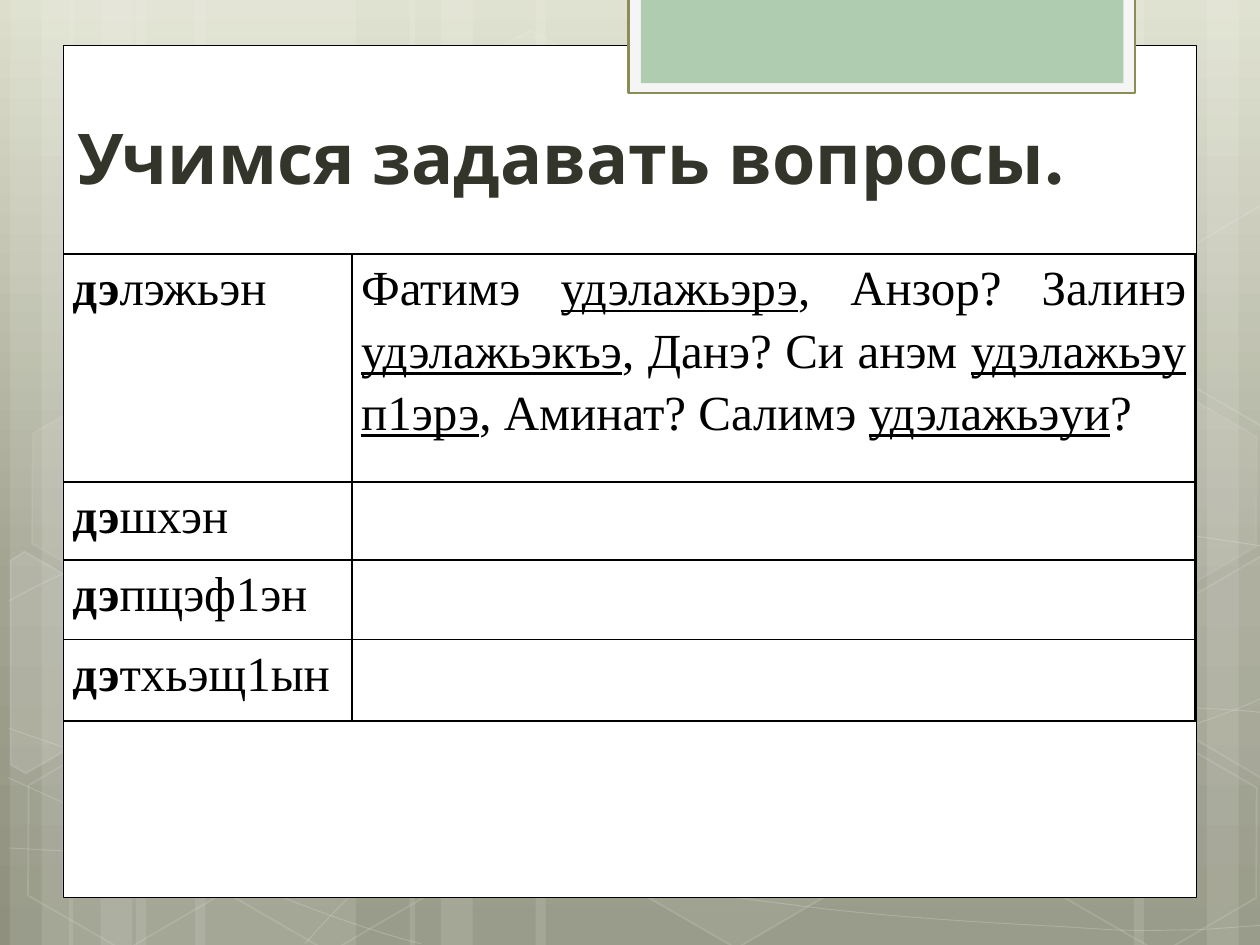
import math
from copy import deepcopy

from lxml import etree
from pptx import Presentation
from pptx import util as u
from pptx.dml.color import RGBColor
from pptx.enum import shapes, text
from pptx.oxml.ns import qn


def color(value):
    return RGBColor.from_string(value)


def dress(shape, fill=None, fill_opacity=100, line=None, width=1, line_opacity=100):
    shape.shadow.inherit = False
    for target, value, opacity, query in (
        (shape.fill, fill, fill_opacity, "p:spPr/a:solidFill/a:srgbClr"),
        (shape.line.fill, line, line_opacity, "p:spPr/a:ln/a:solidFill/a:srgbClr"),
    ):
        if value is None:
            target.background()
            continue
        target.solid()
        target.fore_color.rgb = color(value)
        if opacity < 100:
            node = shape.element.xpath(query)[0]
            etree.SubElement(node, qn("a:alpha"), val=str(opacity * 1000))
    if line:
        shape.line.width = u.Pt(width)


WHITE = "FFFFFF"
BLACK = "000000"
deck = Presentation()
deck.slide_width, deck.slide_height = u.Cm(25.4), u.Cm(19.05)
page = deck.slides.add_slide(deck.slide_layouts[5])
title = page.shapes.title

backdrop = page.background.fill
backdrop.gradient()
backdrop.gradient_angle = 270
stop_list = page.element.xpath(".//a:gsLst")[0]
stop_list.append(deepcopy(stop_list[-1]))
stops = ((0, "DDDFCC"), (0.62, "A2A391"), (1, "8F917E"))
for stop, (position, value) in zip(backdrop.gradient_stops, stops):
    stop.position = position
    stop.color.rgb = color(value)

left_bands = [(2.74, 4.44), (0.2, 1.27), (0.84, 2.11)]
bands = [(left + shift, width, 0) for shift in (0, 1.19) for left, width in left_bands]
bands += [(18.62, 4.44, 180), (24.33, 1.27, 180), (22.86, 2.11, 180)]
bands += [(10.8, 7.82, 0), (8.26, 1.27, 0), (8.89, 2.11, 0)]
for left, width, angle in bands:
    band = page.shapes.add_shape(
        shapes.MSO_SHAPE.RECTANGLE, u.Cm(left), 0, u.Cm(width), deck.slide_height)
    band.rotation = angle
    dress(band, WHITE, 10)

curves = [
    [(7, 673), (61, 676), (115, 679), (190, 678), (265, 677), (358, 675), (458, 665),
     (558, 655), (700, 636), (792, 617), (883, 598), (977, 568), (1007, 551)],
    [(7, 477), (36, 461), (65, 446), (121, 431), (178, 416), (259, 394), (347, 387),
     (436, 380), (544, 379), (654, 387), (764, 395), (947, 426), (1007, 434)],
    [(6, 617), (127, 672), (247, 727), (334, 749)],
    [(7, 578), (38, 589), (70, 600), (128, 616), (186, 631), (273, 656), (357, 673),
     (440, 690), (545, 708), (628, 718), (711, 729), (800, 733), (853, 736),
     (905, 740), (919, 738), (945, 738), (971, 737), (989, 735), (1007, 734)],
    [(242, 749), (260, 729), (278, 709), (302, 691), (326, 673), (360, 653), (388, 639),
     (416, 625), (433, 619), (470, 609), (506, 599), (573, 585), (608, 578),
     (644, 571), (649, 571), (680, 569), (711, 566), (760, 563), (794, 562),
     (829, 561), (886, 562), (886, 562), (908, 562), (931, 562), (953, 562),
     (971, 563), (988, 564), (997, 565), (1006, 566), (1003, 565), (1006, 566)],
]
scale = u.Cm(0.0254)
for knots in curves:
    builder = page.shapes.build_freeform(*knots[0], scale=scale)
    builder.add_line_segments(knots[1:], close=False)
    curve = builder.convert_to_shape()
    segments = curve.element.xpath(".//a:lnTo")
    for start in range(0, len(segments), 3):
        bend = etree.Element(qn("a:cubicBezTo"))
        segments[start].addprevious(bend)
        for segment in segments[start:start + 3]:
            bend.append(segment[0])
            segment.getparent().remove(segment)
    dress(curve, line=WHITE, width=0.5, line_opacity=20)

hexagons = [
    (8.48, 0.91, 4, 8), (12.62, 14.96, 6, 12), (0.28, 15.01, 0, 12), (0.36, 7.92, 7, 8),
    (4.42, 15.04, 0, 12), (19.13, 11.51, 10, 12), (21.18, 15.06, 0, 12), (21.18, 7.98, 7, 8),
]
for left, top, opacity, line_opacity in hexagons:
    hexagon = page.shapes.add_shape(
        shapes.MSO_SHAPE.HEXAGON, u.Cm(left), u.Cm(top), u.Cm(4.44), u.Cm(3.86))
    hexagon.adjustments[0] = 0.285
    hexagon.rotation = 30
    dress(hexagon, WHITE if opacity else None, opacity, WHITE, 1, line_opacity)

cut_hexagons = [
    ((36, 535), [(8, 445), (19, 438), (96, 482), (95, 570), (20, 614), (8, 607)], 10),
    ((985, 520), [(926, 485), (1001, 441), (1009, 446), (1009, 613), (1002, 617), (926, 573)], 4),
    ((985, 241), [(926, 207), (1001, 163), (1010, 168), (1009, 335), (1002, 339), (926, 295)], 0),
]
cosine, sine = math.cos(math.radians(30)), math.sin(math.radians(30))
for (middle_x, middle_y), corners, opacity in cut_hexagons:
    offsets = [(x - middle_x, y - middle_y) for x, y in corners]
    upright = [(middle_x + x * cosine + y * sine, middle_y + y * cosine - x * sine)
               for x, y in offsets]
    builder = page.shapes.build_freeform(*upright[0], scale=scale)
    builder.add_line_segments(upright[1:], close=True)
    cut_hexagon = builder.convert_to_shape()
    cut_hexagon.rotation = 30
    dress(cut_hexagon, WHITE if opacity else None, opacity, WHITE, 1, 12)

panels = [
    ((1.27, 0.91, 22.86, 17.19), WHITE, BLACK, 0.5),
    ((12.67, -0.05, 10.21, 1.93), "F5F5F5", "8A8E56", 1.25),
    ((12.92, -0.05, 9.73, 1.73), "B0CCB0", None, 0),
]
for place, fill, line, width in panels:
    panel = page.shapes.add_shape(shapes.MSO_SHAPE.RECTANGLE, *[u.Cm(v) for v in place])
    dress(panel, fill, line=line, width=width)

page.shapes._spTree.append(title.element)
title_box = {"left": 1.3, "top": 0.93, "width": 22.81, "height": 3.2}
for name, value in title_box.items():
    setattr(title, name, u.Cm(value))
title.text_frame.text = "Учимся задавать вопросы."
frame_format = {"vertical_anchor": text.MSO_ANCHOR.BOTTOM, "word_wrap": True,
                "auto_size": text.MSO_AUTO_SIZE.NONE}
for name, value in frame_format.items():
    setattr(title.text_frame, name, value)
para = title.text_frame.paragraphs[0]
para.alignment = text.PP_ALIGN.LEFT
for name, value in {"name": "League Spartan", "size": u.Pt(40), "bold": True}.items():
    setattr(para.font, name, value)
para.font.color.rgb = color("34352A")

questions = [
    ("Фатимэ ", {}), ("удэлажьэрэ", {"underline": True}),
    (", Анзор? Залинэ ", {}), ("удэлажьэкъэ", {"underline": True}),
    (", Данэ? Си анэм ", {}), ("удэлажьэу п1эрэ", {"underline": True}),
    (", Аминат? Салимэ ", {}), ("удэлажьэуи", {"underline": True}), ("?", {}),
]
endings = ["лэжьэн", "шхэн", "пщэф1эн", "тхьэщ1ын"]
rows = [[[("дэ", {"bold": True}), (ending, {})], []] for ending in endings]
rows[0][1] = questions

table = page.shapes.add_table(
    4, 2, u.Cm(1.28), u.Cm(5.12), u.Cm(22.81), u.Cm(9.42)).table
table.first_row = table.horz_banding = False
for column, width in zip(table.columns, (5.82, 16.99)):
    column.width = u.Cm(width)
for row, height in zip(table.rows, (4.6, 1.57, 1.6, 1.65)):
    row.height = u.Cm(height)

cell_format = {"margin_left": u.Cm(0.18), "margin_right": u.Cm(0.18),
               "margin_top": 0, "margin_bottom": 0}
para_format = {"alignment": text.PP_ALIGN.JUSTIFY, "line_spacing": 1.15}
font_format = {"name": "Times New Roman", "size": u.Pt(28)}
for row, contents in zip(table.rows, rows):
    for cell, spans in zip(row.cells, contents):
        for name, value in cell_format.items():
            setattr(cell, name, value)
        borders = cell._tc.get_or_add_tcPr()
        for side in ("a:lnL", "a:lnR", "a:lnT", "a:lnB"):
            border = etree.SubElement(borders, qn(side), w=str(u.Pt(1)))
            solid = etree.SubElement(border, qn("a:solidFill"))
            etree.SubElement(solid, qn("a:srgbClr"), val=BLACK)
        cell.fill.background()
        para = cell.text_frame.paragraphs[0]
        for name, value in para_format.items():
            setattr(para, name, value)
        for words, emphasis in spans:
            span = para.add_run()
            span.text = words
            for name, value in {**font_format, **emphasis}.items():
                setattr(span.font, name, value)
            span.font.color.rgb = color(BLACK)

deck.save("out.pptx")
